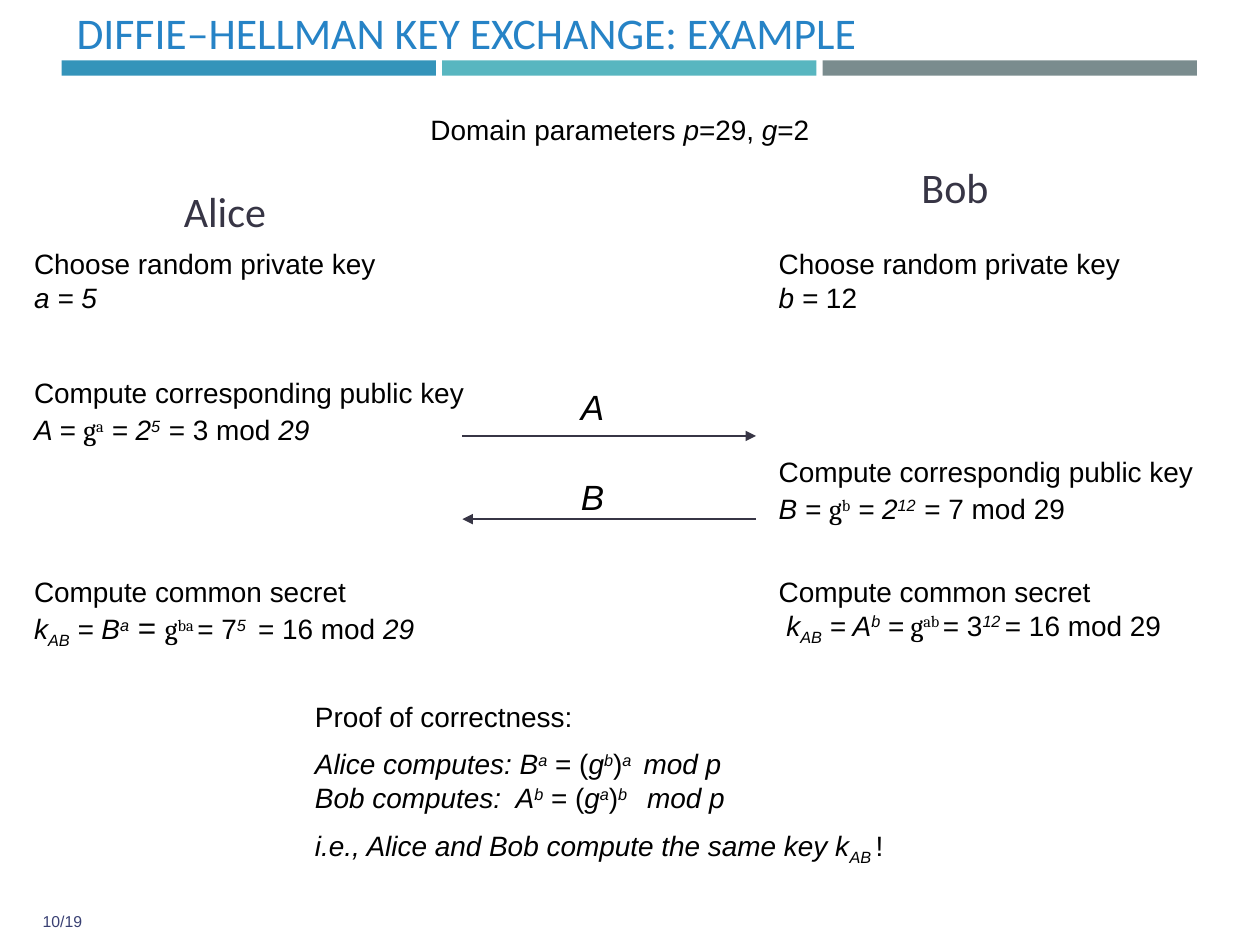
from lxml.etree import SubElement
from pptx import Presentation
from pptx.dml.color import RGBColor as Color
from pptx.enum.shapes import MSO_CONNECTOR as Link, MSO_SHAPE as Shape
from pptx.enum.text import MSO_ANCHOR as Anchor, PP_ALIGN as Align
from pptx.oxml.ns import qn
from pptx.util import Inches, Pt


class Theme:
    title, name, ink, number = "2683C6", "373545", "000000", "394073"
    bars = ("3494BA", "58B6C0", "7A8C8E")
    sans, heading, math = "Arial", "Calibri", "Cambria"
    title_size, name_size, label_size = 25, 24, 20
    body_size, wide_size, number_size = 16, 18, 9


deck = Presentation()
deck.slide_width, deck.slide_height = Inches(10), Inches(7.5)
page = deck.slides.add_slide(deck.slide_layouts[6])
COL, ROW = deck.slide_width / 100, deck.slide_height / 75


def cells(left, top, width, height):
    return int(left * COL), int(top * ROW), int(width * COL), int(height * ROW)


def write(area, paragraphs, size=Theme.body_size, color=Theme.ink, face=Theme.sans,
          align=Align.LEFT, anchor=Anchor.TOP, inset=(0, 0), spacing=None):
    frame = page.shapes.add_textbox(*cells(*area)).text_frame
    across, down = (Inches(value) for value in inset)
    layout = {"word_wrap": True, "vertical_anchor": anchor, "margin_left": across,
              "margin_right": across, "margin_top": down, "margin_bottom": down}
    for key, value in layout.items():
        setattr(frame, key, value)
    for index, spans in enumerate(paragraphs):
        para = frame.add_paragraph() if index else frame.paragraphs[0]
        para.alignment, para.line_spacing = align, spacing
        para.space_before = Pt(8 if index else 0)
        for text, marks in spans:
            if text == "\n":
                para.add_line_break()
                SubElement(para._p[-1], qn("a:rPr"), sz=str(size * 100))
                continue
            span = para.add_run()
            span.text = text
            span.font.color.rgb = Color.from_string(color)
            style = {"size": Pt(Theme.wide_size if "w" in marks else size),
                     "name": Theme.math if "m" in marks else face,
                     "italic": "i" in marks}
            for key, value in style.items():
                setattr(span.font, key, value)
            for mark, shift in (("^", "30000"), ("_", "-25000")):
                if mark in marks:
                    span._r.get_or_add_rPr().set("baseline", shift)


BAR_LEFT, BAR_WIDTH, BAR_STEP = 4.9, 29.7, 30.2
for index, color in enumerate(Theme.bars):
    bar = page.shapes.add_shape(Shape.RECTANGLE, *cells(BAR_LEFT + index * BAR_STEP, 4.8, BAR_WIDTH, 1.2))
    bar.shadow.inherit = False
    bar.fill.solid()
    bar.fill.fore_color.rgb = Color.from_string(color)
    bar.line.fill.background()

padded = {"inset": (0.1, 0.05)}
write((5.1, 0.6, 87.4, 4.5), [[("DIFFIE–HELLMAN KEY EXCHANGE: EXAMPLE", "")]], Theme.title_size,
      Theme.title, Theme.heading, anchor=Anchor.BOTTOM, **padded)
for name, area in (("Alice", (3.1, 13.5, 29.5, 7)), ("Bob", (51.6, 13.3, 48.4, 3.6))):
    write(area, [[(name, "")]], Theme.name_size, Theme.name, Theme.heading,
          Align.CENTER, Anchor.MIDDLE, spacing=0.9, **padded)
write((2, 71.9, 5.5, 2.4), [[("10/19", "")]], Theme.number_size, Theme.number,
      align=Align.RIGHT, anchor=Anchor.MIDDLE, **padded)
write((3.1, 8.9, 92.2, 2.7), [[("Domain parameters ", ""), ("p", "i"), ("=29, ", ""),
                               ("g", "i"), ("=2", "")]], align=Align.CENTER)

ALICE, BOB = 2.7, 61.8
CHOOSE, SECRET = "Choose random private key", "Compute common secret"
steps = [
    (ALICE, 19.6, CHOOSE, [("a = 5", "i")]),
    (BOB, 19.6, CHOOSE, [("b =", "i"), (" 12", "")]),
    (ALICE, 29.8, "Compute corresponding public key",
     [("A = ", "i"), ("g", "m"), ("a", "m^"), (" = 2", "i"), ("5", "i^"),
      (" ", "w"), ("= 3 mod ", ""), ("29", "i")]),
    (BOB, 36.1, "Compute correspondig public key",
     [("B = ", "i"), ("g", "m"), ("b", "m^"), (" = 2", "i"), ("12", "i^"),
      (" ", "w"), ("= 7 mod 29", "")]),
    (ALICE, 45.6, SECRET,
     [("k", "i"), ("AB", "i_"), (" = B", "i"), ("a", "i^"), (" = ", "w"), ("g", "m"),
      ("ba ", "m^"), ("= 7", ""), ("5 ", "i^"), (" = 16 mod ", ""), ("29", "i")]),
    (BOB, 45.6, SECRET,
     [(" k", "i"), ("AB", "i_"), (" = A", "i"), ("b", "i^"), (" =", ""), (" g", "m"),
      ("ab ", "m^"), ("= 3", ""), ("12 ", "i^"), ("= 16 mod 29", "")]),
]
for left, top, task, formula in steps:
    write((left, top, 36.2, 5.5), [[(task, ""), ("\n", ""), *formula]])

for label, label_top, start, end, level in (("A", 30.6, 36.7, 60, 34.6), ("B", 37.7, 60, 36.7, 41.2)):
    write((46.1, label_top, 3.9, 3.4), [[(label, "i")]], Theme.label_size)
    arrow = page.shapes.add_connector(Link.STRAIGHT, *cells(start, level, end, level))
    arrow.line.color.rgb = Color.from_string(Theme.name)
    arrow.line.width = Pt(0.75)
    SubElement(arrow.line._get_or_add_ln(), qn("a:tailEnd"), type="triangle")
    SubElement(arrow._element.spPr, qn("a:effectLst"))

write((25, 55.5, 47.7, 17.5), [
    [("Proof of correctness:", "")],
    [("Alice computes: B", "i"), ("a", "i^"), (" = (", ""), ("g", "i"), ("b", "i^"), (")", ""),
     ("a ", "i^"), (" mod p", "i"), ("\n", ""),
     ("Bob computes:  A", "i"), ("b", "i^"), (" = (", ""), ("g", "i"), ("a", "i^"), (")", ""),
     ("b ", "i^"), ("  mod p", "i")],
    [("i.e., Alice and Bob compute the same key k", "i"), ("AB ", "i_"), ("!", "")],
])

deck.save("out.pptx")
